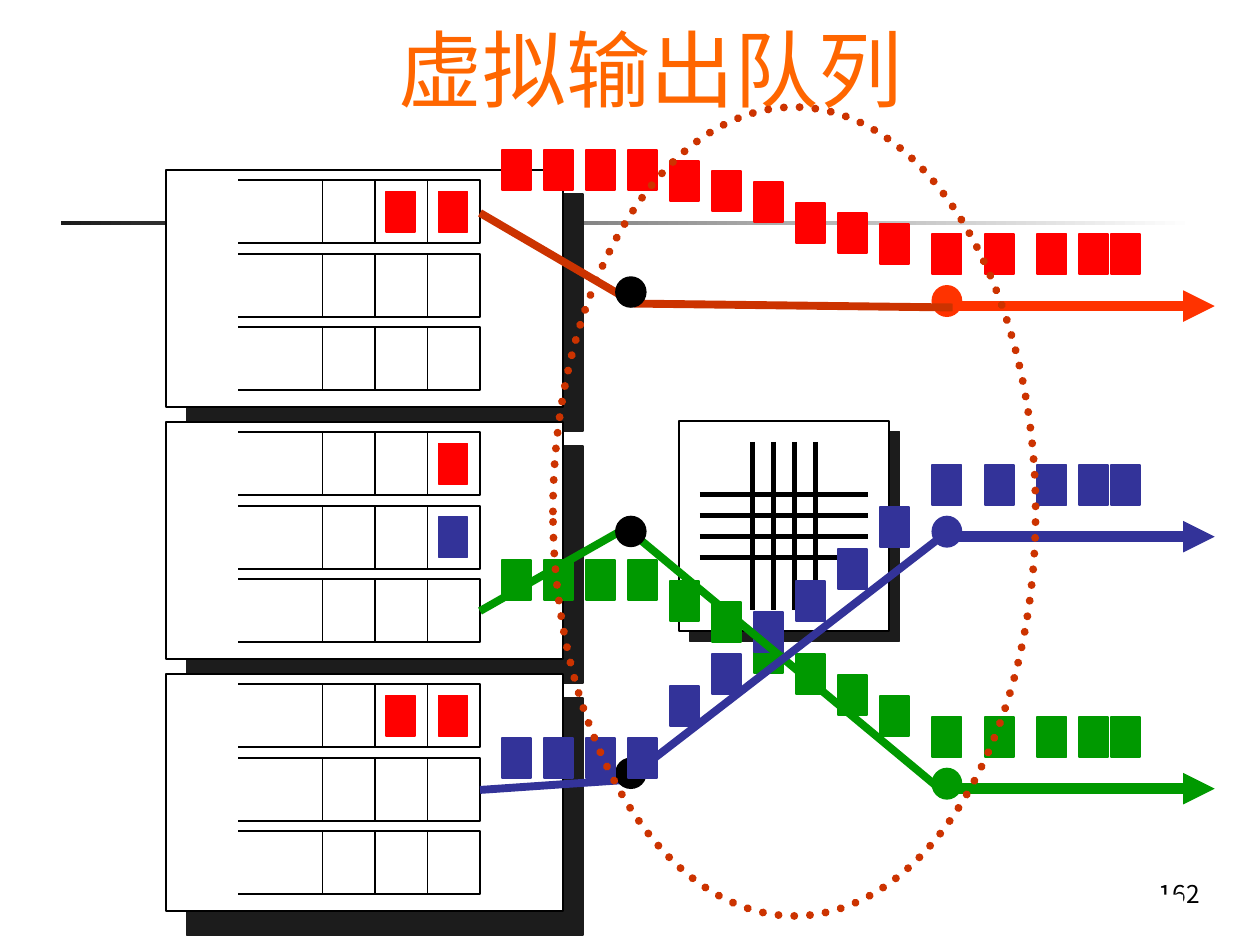
from dataclasses import dataclass

from lxml import etree
from pptx import Presentation
from pptx.dml.color import RGBColor
from pptx.enum.dml import MSO_LINE
from pptx.enum.shapes import MSO_CONNECTOR, MSO_SHAPE
from pptx.enum.text import MSO_ANCHOR, PP_ALIGN
from pptx.oxml.ns import qn
from pptx.util import Pt

RECT, OVAL = MSO_SHAPE.RECTANGLE, MSO_SHAPE.OVAL
STRAIGHT = MSO_CONNECTOR.STRAIGHT
ROUND_DOT = MSO_LINE.ROUND_DOT
BOTTOM, TOP = MSO_ANCHOR.BOTTOM, MSO_ANCHOR.TOP
CENTER, RIGHT = PP_ALIGN.CENTER, PP_ALIGN.RIGHT


@dataclass(frozen=True)
class Theme:
    """Colours, font and type sizes of the slide."""
    font: str = "Noto Sans CJK SC"
    title_size: int = 48
    number_size: int = 14
    title: str = "FF6600"
    ink: str = "000000"
    paper: str = "FFFFFF"
    shadow: str = "1C1C1C"
    red: str = "FF0000"
    output_red: str = "FF3300"
    route_red: str = "CC3300"
    blue: str = "333399"
    green: str = "009900"


T = Theme()
PACKET_W, PACKET_H = 16.6, 23
COLUMNS = [286.8 + 24 * i for i in range(10)] + [532.8, 562.8, 592.8, 616.8, 634.8]
FRONT_COLUMNS = (2, 3)
BACK_COLUMNS = [i for i in range(len(COLUMNS)) if i not in FRONT_COLUMNS]
LANES = [
    (T.red, 85.8, [0] * 4 + [1, 2, 3, 5, 6, 7] + [8] * 5),
    (T.green, 319.8, [0] * 4 + [2, 4, 7, 9, 11, 13] + [15] * 5),
    (T.blue, 421.8, [0] * 4 + [-5, -8, -12, -15, -18, -22] + [-26] * 5),
]
CARDS = [
    [(0, 0, T.red), (0, 1, T.red)],
    [(0, 0, T.red), (1, 0, T.blue)],
    [(0, 0, T.red), (0, 1, T.red)],
]
OUTPUTS = [(163.4, T.output_red), (295.2, T.blue), (439.2, T.green)]
ROUTES = [
    (T.route_red, [(274.3, 121.7), (362.9, 173.5), (544.3, 175.7)]),
    (T.green, [(274.3, 349.2), (357.8, 301.7), (537.8, 451.4)]),
    (T.blue, [(274.3, 451.4), (357.8, 445.7), (544.3, 301.7)]),
]


def rgb(color):
    """Turn a hex string into a colour."""
    return RGBColor.from_string(color)


def add_box(s, kind, x, y, w, h, fill=None, line=None, width=1):
    """Add a preset shape with an optional fill and outline."""
    sp = s.shapes.add_shape(kind, Pt(x), Pt(y), Pt(w), Pt(h))
    sp.shadow.inherit = False
    if fill:
        sp.fill.solid()
        sp.fill.fore_color.rgb = rgb(fill)
    else:
        sp.fill.background()
    if line:
        sp.line.color.rgb = rgb(line)
        sp.line.width = Pt(width)
    else:
        sp.line.fill.background()
    return sp


def add_line(s, x1, y1, x2, y2, color, width):
    """Add a straight connector without a shadow."""
    c = s.shapes.add_connector(STRAIGHT, Pt(x1), Pt(y1), Pt(x2), Pt(y2))
    c.line.color.rgb = rgb(color)
    c.line.width = Pt(width)
    etree.SubElement(c._element.spPr, qn("a:effectLst"))
    return c


def add_path(s, points, color, width):
    """Add an open, unfilled polyline."""
    start, *rest = [(Pt(x), Pt(y)) for x, y in points]
    fb = s.shapes.build_freeform(*start)
    fb.add_line_segments(rest, close=False)
    sp = fb.convert_to_shape()
    sp.shadow.inherit = False
    sp.fill.background()
    sp.line.color.rgb = rgb(color)
    sp.line.width = Pt(width)


def add_text(s, x, y, w, h, text, size, color, align, anchor):
    """Add a one-paragraph text box."""
    tf = s.shapes.add_textbox(Pt(x), Pt(y), Pt(w), Pt(h)).text_frame
    tf.word_wrap = True
    tf.vertical_anchor = anchor
    p = tf.paragraphs[0]
    p.text = text
    p.alignment = align
    p.font.size = Pt(size)
    p.font.color.rgb = rgb(color)
    p.font.name = T.font
    props = p._p.pPr.find(qn("a:defRPr"))
    etree.SubElement(props, qn("a:ea"), typeface=T.font)


def add_rule(s, x, y, w, h):
    """Add the horizontal rule that fades to the right."""
    sp = add_box(s, RECT, x, y, w, h, T.shadow)
    sp.fill.gradient()
    sp.fill.gradient_angle = 0
    for stop, color in zip(sp.fill.gradient_stops, (T.shadow, T.paper)):
        stop.color.rgb = rgb(color)


def add_crossbar(s, x, y, size):
    """Add the switch fabric: a shadowed square with a 4 by 4 grid."""
    sp = add_box(s, RECT, x, y, size, size, T.paper, T.ink)
    effects = sp._element.spPr.find(qn("a:effectLst"))
    outer = etree.SubElement(effects, qn("a:outerShdw"), dist=str(Pt(8.5)), dir="2700000", algn="ctr", rotWithShape="0")
    etree.SubElement(outer, qn("a:srgbClr"), val=T.shadow)
    near, far = size * 0.1, size * 0.9
    for i in range(4):
        at = size * (0.35 + 0.1 * i)
        add_line(s, x + at, y + near, x + at, y + far, T.ink, 3)
        add_line(s, x + near, y + at, x + far, y + at, T.ink, 3)


def add_packet(s, x, y, color):
    """Add one packet."""
    add_box(s, RECT, x, y, PACKET_W, PACKET_H, color, color)


def add_card(s, x, y, w, h, packets):
    """Add an input card with three queues and their (row, slot, colour) packets."""
    add_box(s, RECT, x + 11.5, y + 13.7, w, h, T.shadow, T.shadow)
    add_box(s, RECT, x, y, w, h, T.paper, T.ink)
    left, right, depth = x + 41, x + 179.3, 36
    tops = [y + 5.8 + 42 * row for row in range(3)]
    for top in tops:
        add_path(s, [(left, top), (right, top), (right, top + depth), (left, top + depth)], T.ink, 1)
        for i in (1, 2, 3):
            add_line(s, right - 30 * i, top, right - 30 * i, top + depth, T.ink, 1)
    for row, slot, color in packets:
        add_packet(s, right - 23.7 - 30 * slot, tops[row] + 6.5, color)


def add_output(s, x, y, w, color):
    """Add an output port with its outgoing arrow."""
    c = add_line(s, x + 11.5, y + 11.5, x + w, y + 11.5, color, 6)
    etree.SubElement(c._element.spPr.find(qn("a:ln")), qn("a:tailEnd"), type="triangle")
    add_box(s, OVAL, x, y, 16.6, 17.3, color, color)


def add_lanes(s, columns):
    """Add the packets of every lane in the given columns."""
    for color, top, steps in LANES:
        for i in columns:
            add_packet(s, COLUMNS[i], top + 6 * steps[i], color)


def add_input(s, x, y):
    """Add the black dot of an input port."""
    add_box(s, OVAL, x, y, 17, 17, T.ink, T.ink)


def add_highlight(s, x, y, w, h):
    """Add the dotted ellipse around the switch."""
    sp = add_box(s, OVAL, x, y, w, h, None, T.route_red, 4.5)
    sp.line.dash_style = ROUND_DOT
    sp._element.spPr.find(qn("a:ln")).set("cap", "rnd")


def main():
    """Build the slide and save it."""
    prs = Presentation()
    prs.slide_width, prs.slide_height = Pt(720), Pt(540)
    s = prs.slides.add_slide(prs.slide_layouts[6])
    add_rule(s, 34.8, 126, 648, 2.4)
    add_text(s, 650.9, 499, 41.8, 26, "162", T.number_size, T.ink, RIGHT, TOP)
    add_text(s, 66, 0, 612, 71.3, "虚拟输出队列", T.title_size, T.title, CENTER, BOTTOM)
    add_crossbar(s, 388, 240.5, 120)
    add_box(s, RECT, 15.8, 469.4, 684, 36, T.paper)
    add_box(s, RECT, 4.3, 511.2, 671.8, 24.5, T.paper)
    for y, color in OUTPUTS:
        add_output(s, 532.8, y, 161.3, color)
    for i, packets in enumerate(CARDS):
        add_card(s, 95, 97.2 + 144 * i, 226.8, 135.4, packets)
    add_lanes(s, BACK_COLUMNS)
    for color, points in ROUTES:
        add_path(s, points, color, 4.5)
    add_input(s, 352, 433.4)
    add_lanes(s, FRONT_COLUMNS)
    for y in (158.4, 295.2):
        add_input(s, 352, y)
    add_highlight(s, 316, 61.2, 275.8, 462.2)
    prs.save("out.pptx")


if __name__ == "__main__":
    main()
